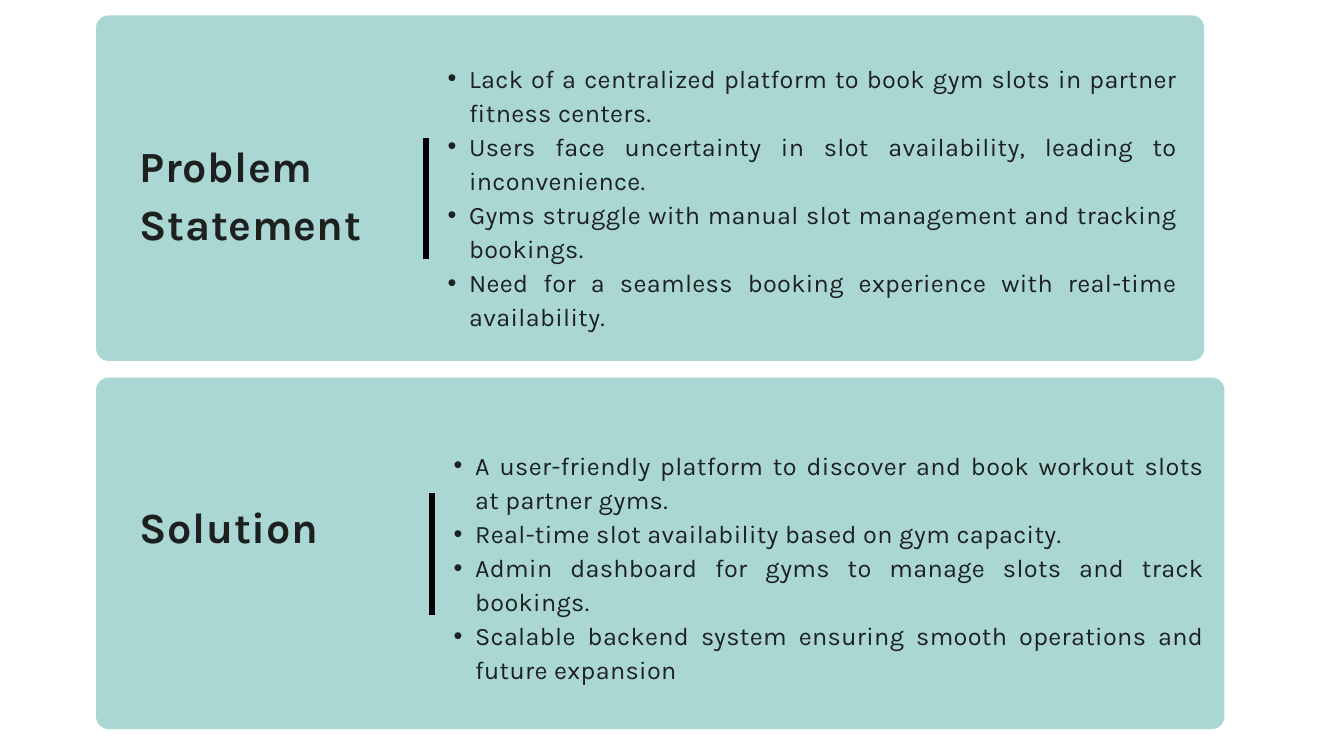
from lxml import etree
from pptx import Presentation
from pptx.dml.color import RGBColor
from pptx.enum import shapes, text
from pptx.oxml import ns
from pptx.util import Inches, Pt

COLORS = {"card": "AAD7D4", "ink": "1C2120", "rule": "000000"}
FONT = "Karla"
CORNER = 0.185

sections = [
    {
        "heading": ["Problem ", "Statement"],
        "card": (1.43, 0.23, 16.49, 5.14),
        "heading_box": (2.08, 1.98, 3.71, 1.71),
        "points_box": (6.34, 0.88, 11.18, 4.49),
        "rule": (6.34, 2.06, 3.85, 6),
        "points": [
            "Lack of a centralized platform to book gym slots in partner fitness centers.",
            "Users face uncertainty in slot availability, leading to inconvenience.",
            "Gyms struggle with manual slot management and tracking bookings.",
            "Need for a seamless booking experience with real-time availability.",
        ],
    },
    {
        "heading": ["Solution"],
        "card": (1.43, 5.62, 16.79, 5.23),
        "heading_box": (2.08, 7.35, 3.71, 0.84),
        "points_box": (6.43, 6.64, 11.49, 3.49),
        "rule": (6.43, 7.33, 9.15, 6.75),
        "points": [
            "A user-friendly platform to discover and book workout slots at partner gyms.",
            "Real-time slot availability based on gym capacity.",
            "Admin dashboard for gyms to manage slots and track bookings.",
            "Scalable backend system ensuring smooth operations and future expansion",
        ],
    },
]


def write(frame, lines, size, leading, tracking, bold=False, bullet=False):
    """Fill a text frame with one justified paragraph per line; sizes in points."""
    frame.word_wrap = True
    frame.auto_size = text.MSO_AUTO_SIZE.NONE
    frame.vertical_anchor = text.MSO_ANCHOR.TOP
    frame.margin_left = frame.margin_right = frame.margin_top = frame.margin_bottom = 0
    for index, line in enumerate(lines):
        paragraph = frame.add_paragraph() if index else frame.paragraphs[0]
        if bullet:
            paragraph.level = 1
            properties = paragraph._p.get_or_add_pPr()
            properties.set("marL", str(Inches(0.64)))
            properties.set("indent", str(Inches(-0.32)))
            etree.SubElement(properties, ns.qn("a:buFont")).set("typeface", "Arial")
            etree.SubElement(properties, ns.qn("a:buChar")).set("char", "•")
        paragraph.alignment = text.PP_ALIGN.JUSTIFY
        paragraph.line_spacing = Pt(leading)
        run = paragraph.add_run()
        run.text = line
        run.font.name = FONT
        run.font.size = Pt(size)
        run.font.bold = bold
        run.font.color.rgb = RGBColor.from_string(COLORS["ink"])
        run.font._element.set("spc", str(round(tracking * 100)))


prs = Presentation()
prs.slide_width, prs.slide_height = Inches(20), Inches(11.25)
slide = prs.slides.add_slide(prs.slide_layouts[5])
title = slide.shapes.title

for number, section in enumerate(sections):
    card = slide.shapes.add_shape(
        shapes.MSO_SHAPE.ROUNDED_RECTANGLE, *map(Inches, section["card"]))
    card.adjustments[0] = CORNER / section["card"][3]
    card.shadow.inherit = False
    card.fill.solid()
    card.fill.fore_color.rgb = RGBColor.from_string(COLORS["card"])
    card.line.fill.background()

    points = slide.shapes.add_textbox(*map(Inches, section["points_box"]))
    write(points.text_frame, section["points"], size=27, leading=36.5,
          tracking=0.4, bullet=True)

    x, top, bottom, weight = section["rule"]
    rule = slide.shapes.add_connector(
        shapes.MSO_CONNECTOR.STRAIGHT, Inches(x), Inches(bottom), Inches(x), Inches(top))
    rule.line.color.rgb = RGBColor.from_string(COLORS["rule"])
    rule.line.width = Pt(weight)
    etree.SubElement(rule._element.spPr, ns.qn("a:effectLst"))

    box = [Inches(value) for value in section["heading_box"]]
    if number == 0:
        heading = title
        heading.left, heading.top, heading.width, heading.height = box
        # Bring the title in front of its card
        slide.shapes.element.append(heading.element)
    else:
        heading = slide.shapes.add_textbox(*box)
    write(heading.text_frame, section["heading"], size=46.1, leading=62.3,
          tracking=0.7, bold=True)

prs.save("out.pptx")
